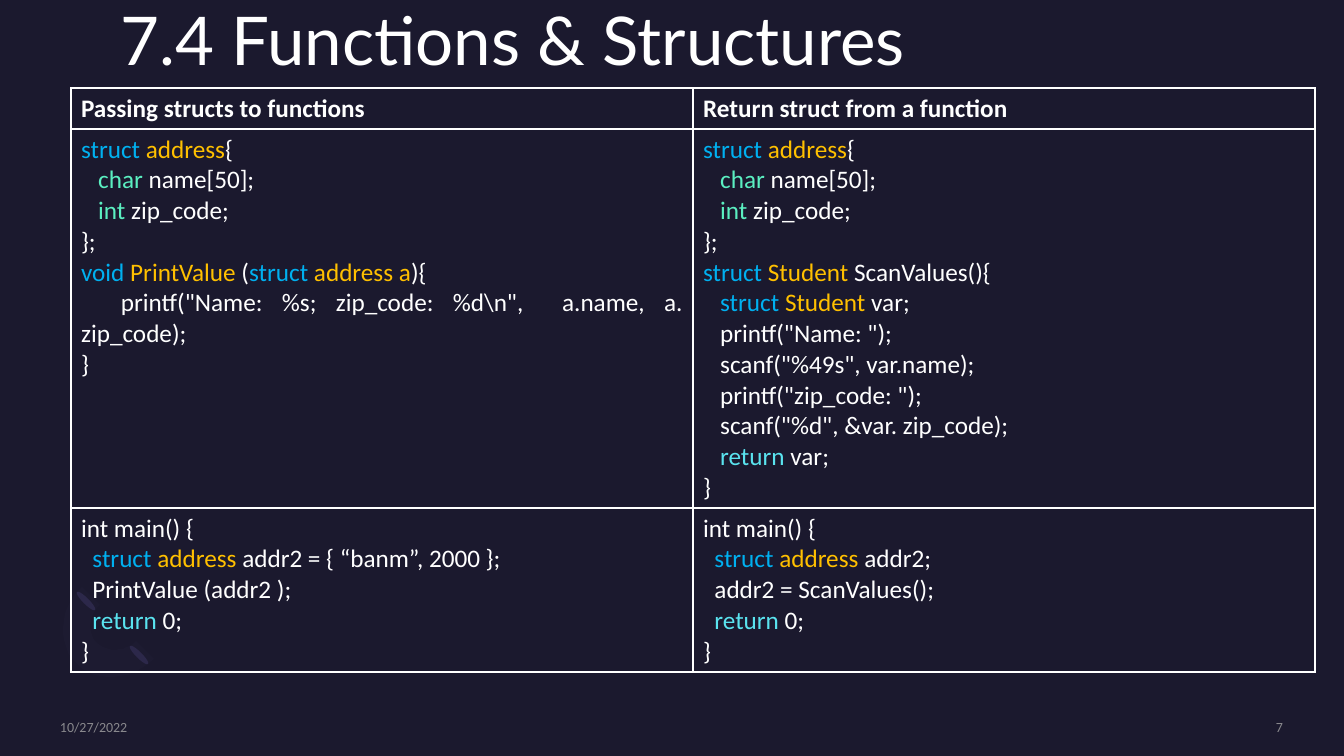
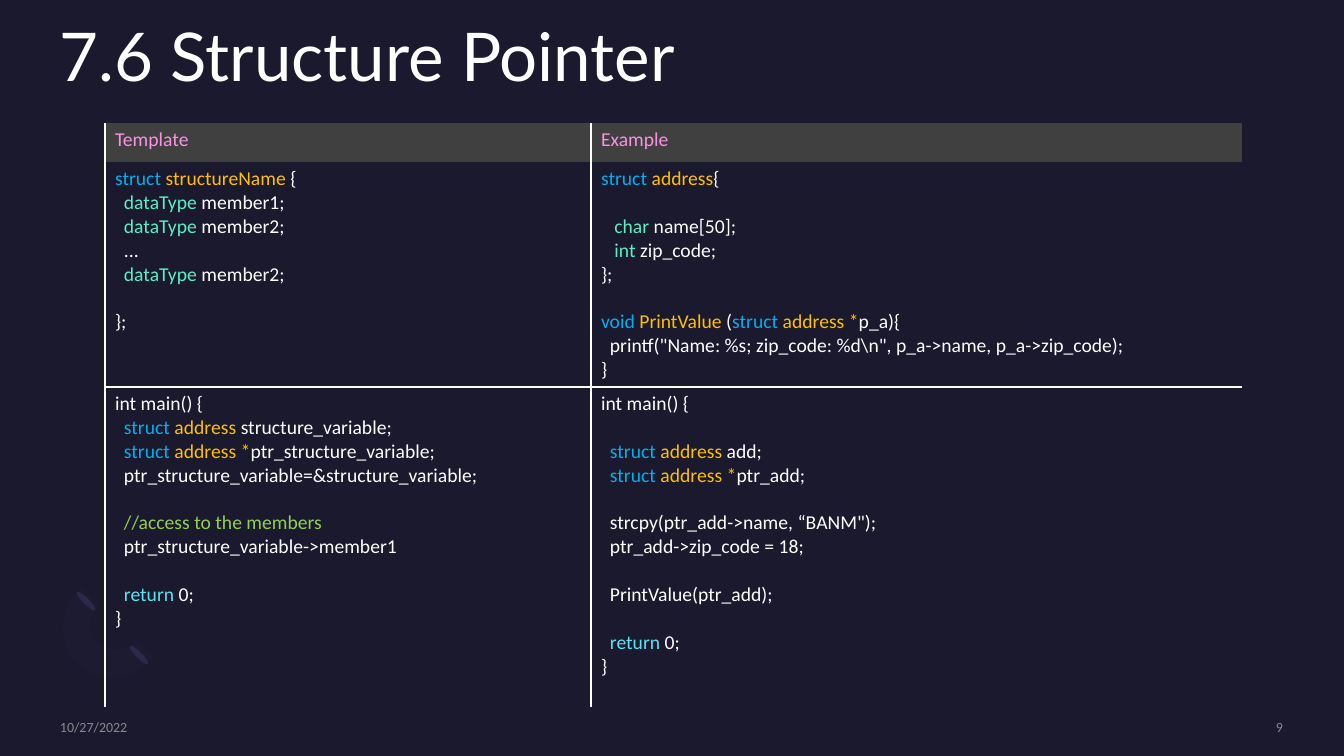
from lxml import etree
from pptx import Presentation
from pptx import util as u
from pptx.dml.color import RGBColor
from pptx.enum import shapes, text
from pptx.oxml import ns

PX = 12192000 / 1344
W, H = 1344, 756
COLORS = {
    "bg": "1B192E", "white": "FFFFFF", "footer": "A6A6A6", "header": "404040",
    "pink": "FA91E3", "blue": "00B0F0", "gold": "FFC000", "mint": "5BEFC1",
    "cyan": "5AE3EF", "green": "92D050", "cap": "2C284A", "ring": "1D1B31",
}
SPACE_EM = 0.226  # width of a Calibri space
LINE_EM = 1.22    # height of a Calibri line
NO_GRID = "{2D5ABB26-0587-4C30-8999-92F81FD0307C}"

RING_CURVES = [
    [(77, 664), (56, 644), (58, 610), (82, 587)],
    [(100, 605), (88, 616), (87, 634), (97, 643)],
    [(97, 643), (107, 653), (124, 652), (136, 641)],
    [(154, 659), (131, 681), (96, 684), (77, 664)],
]

# In the listings, |colour~text| sets a coloured run.
ADDRESS = r"""|blue~struct |gold~address|{
   |mint~char| name[50];
   |mint~int |zip_code;
};
"""

PASS_STRUCT = ADDRESS + r"""|blue~void |gold~PrintValue| (|blue~struct |gold~address a|){
       printf("Name: %s; zip_code: %d\n",  a.name, a. zip_code);
}"""

RETURN_STRUCT = ADDRESS + r"""|blue~struct |gold~Student |ScanValues(){
   |blue~struct |gold~Student |var;
   printf("Name: ");
   scanf("%49s", var.name);
   printf("zip_code: ");
   scanf("%d", &var. zip_code);
   |cyan~return |var;
}"""

PASS_MAIN = r"""int main() {
  |blue~struct |gold~address |addr2 = { “banm”, 2000 };
  PrintValue (addr2 );
  |cyan~return| 0;
}"""

RETURN_MAIN = r"""int main() {
  |blue~struct |gold~address |addr2;
  addr2 = ScanValues();
  |cyan~return |0;
}"""

TEMPLATE_STRUCT = r"""|blue~struct |gold~structureName |{
  |mint~dataType| member1;
  |mint~dataType| member2;
  ...
  |mint~dataType| member2;

};"""

EXAMPLE_STRUCT = ADDRESS.replace("{\n", "{\n\n") + r"""
|blue~void |gold~PrintValue| (|blue~struct |gold~address *|p_a){
  printf("Name: %s; zip_code: %d\n", p_a->name, p_a->zip_code);
}"""

TEMPLATE_MAIN = r"""int main() {
  |blue~struct |gold~address |structure_variable;
  |blue~struct |gold~address *|ptr_structure_variable;
  ptr_structure_variable=&structure_variable;

  |green~//access to the members
  ptr_structure_variable->member1

  |cyan~return| 0;
}"""

EXAMPLE_MAIN = r"""int main() {

  |blue~struct |gold~address |add;
  |blue~struct |gold~address *|ptr_add;

  strcpy(ptr_add->name, “BANM");
  ptr_add->zip_code = 18;

  PrintValue(ptr_add);

  |cyan~return| 0;
}"""


def px(n):
    return u.Emu(round(n * PX))


def rgb(name):
    return RGBColor.from_string(COLORS[name])


def write(tf, content, size=18, font="Calibri", color="white", bold=False,
          align=text.PP_ALIGN.LEFT, spacing=None, alpha=None):
    """Fill a text frame; blank lines become spacing, leading spaces an indent."""
    tf.word_wrap = True
    first, gap = True, 0
    for line in content.splitlines():
        if not line:
            gap += size * LINE_EM
            continue
        p = tf.paragraphs[0] if first else tf.add_paragraph()
        p.alignment = align
        if spacing:
            p.line_spacing = spacing
        if gap:
            p.space_before = u.Pt(gap)
        first, gap = False, 0
        body = line.lstrip(" ")
        spaces = len(line) - len(body)
        if spaces:
            pPr = p._p.get_or_add_pPr()
            pPr.set("marL", "0")
            pPr.set("indent", str(u.Pt(spaces * size * SPACE_EM)))
        for part in filter(None, body.split("|")):
            name, mark, words = part.rpartition("~")
            r = p.add_run()
            r.text = words
            r.font.name, r.font.size, r.font.bold = font, u.Pt(size), bold
            r.font.color.rgb = rgb(name if mark else color)
            if alpha:
                clr = r._r.find(".//" + ns.qn("a:srgbClr"))
                etree.SubElement(clr, ns.qn("a:alpha"), val=str(alpha * 1000))


def add_text(s, box, content, anchor=text.MSO_ANCHOR.TOP, **fmt):
    tf = s.shapes.add_textbox(*map(px, box)).text_frame
    tf.margin_left = tf.margin_right = tf.margin_top = tf.margin_bottom = 0
    tf.vertical_anchor = anchor
    write(tf, content, **fmt)


def paint(sp, color):
    sp.shadow.inherit = False
    sp.fill.solid()
    sp.fill.fore_color.rgb = rgb(color)
    sp.line.fill.background()


def bezier(curve, steps=12):
    for i in range(steps + 1):
        t = i / steps
        weights = ((1 - t) ** 3, 3 * t * (1 - t) ** 2, 3 * t * t * (1 - t), t ** 3)
        yield tuple(sum(w * pt[axis] for w, pt in zip(weights, curve))
                    for axis in (0, 1))


def add_ornament(s):
    """Half ring with an ellipse on each cut end."""
    points = [pt for curve in RING_CURVES for pt in bezier(curve)]
    builder = s.shapes.build_freeform(*points[0], scale=PX)
    builder.add_line_segments(points[1:], close=True)
    paint(builder.convert_to_shape(), "ring")
    for x, y in ((83, 588), (136, 642)):
        sp = s.shapes.add_shape(shapes.MSO_SHAPE.OVAL, px(x), px(y), px(6), px(26))
        sp.rotation = 135
        paint(sp, "cap")


def add_footer(s, number):
    fmt = dict(size=10, color="footer", alpha=80, anchor=text.MSO_ANCHOR.MIDDLE)
    add_text(s, (60, 718, 290, 17), "10/27/2022", **fmt)
    add_text(s, (1097, 718, 186, 17), number, align=text.PP_ALIGN.RIGHT, **fmt)


def set_borders(cell, sides):
    tcPr = cell._tc.get_or_add_tcPr()
    for side in "LRTB":
        if side in sides:
            ln = etree.SubElement(tcPr, ns.qn("a:ln" + side), w=str(u.Pt(1)))
            fill = etree.SubElement(ln, ns.qn("a:solidFill"))
            etree.SubElement(fill, ns.qn("a:srgbClr"), val=COLORS["white"])


def add_code_table(s, left, top, cols, rows, cells, borders, size, header,
                   header_fill=None):
    """Two columns of listings; borders(row, col) names the sides to draw."""
    box = map(px, (left, top, sum(cols), sum(rows)))
    table = s.shapes.add_table(len(rows), len(cols), *box).table
    table.first_row = table.horz_banding = False
    table._tbl.tblPr.find(ns.qn("a:tableStyleId")).text = NO_GRID
    for col, width in zip(table.columns, cols):
        col.width = px(width)
    for i, height in enumerate(rows):
        table.rows[i].height = px(height)
        for j, content in enumerate(cells[i]):
            cell = table.cell(i, j)
            set_borders(cell, borders(i, j))
            if i == 0 and header_fill:
                cell.fill.solid()
                cell.fill.fore_color.rgb = rgb(header_fill)
            else:
                cell.fill.background()
            fmt = header if i == 0 else dict(align=text.PP_ALIGN.JUSTIFY)
            write(cell.text_frame, content, size=size, **fmt)


def pointer_borders(row, col):
    return "L" + ("R" if col == 0 else "") + ("", "B", "T")[row]


def add_code_slide(prs, title, title_box, number, **table):
    s = prs.slides.add_slide(prs.slide_layouts[6])
    add_ornament(s)
    add_text(s, title_box, title, size=48, font="Lato", spacing=0.9)
    add_footer(s, number)
    add_code_table(s, **table)


def main():
    prs = Presentation()
    prs.slide_width, prs.slide_height = px(W), px(H)
    fill = prs.slide_master.background.fill
    fill.solid()
    fill.fore_color.rgb = rgb("bg")

    add_code_slide(
        prs, "7.4 Functions & Structures", (121, 7, 1223, 149), "7",
        left=71, top=88, cols=(622, 622), rows=(41, 379, 164),
        cells=[("Passing structs to functions", "Return struct from a function"),
               (PASS_STRUCT, RETURN_STRUCT), (PASS_MAIN, RETURN_MAIN)],
        borders=lambda row, col: "LRTB", size=18, header=dict(bold=True))
    add_code_slide(
        prs, "7.6 Structure Pointer", (60, 23, 1223, 147), "9",
        left=105, top=123, cols=(486, 651), rows=(39, 225, 320),
        cells=[("Template", "Example"), (TEMPLATE_STRUCT, EXAMPLE_STRUCT),
               (TEMPLATE_MAIN, EXAMPLE_MAIN)],
        borders=pointer_borders, size=14, header=dict(color="pink"),
        header_fill="header")
    prs.save("out.pptx")


if __name__ == "__main__":
    main()
